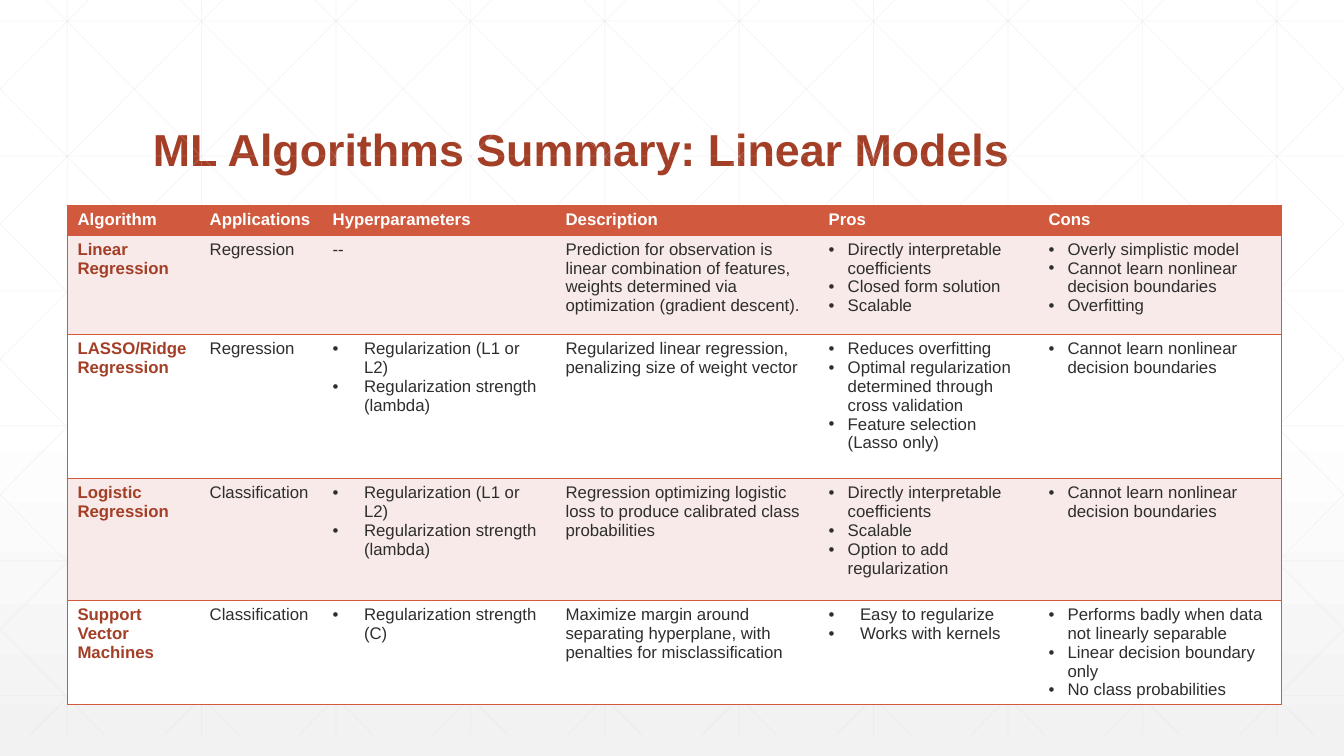
from lxml import etree
from pptx import Presentation
from pptx import util as u
from pptx.dml.color import RGBColor
from pptx.enum import shapes, text
from pptx.oxml.ns import qn

SLIDE_W, SLIDE_H = 33.87, 19.05
FONT = "Arial"
COLORS = {
    "white": "FFFFFF",
    "shade": "F2F2F2",
    "lattice": "D9D9D9",
    "rust": "A43F27",
    "orange": "D15A3E",
    "pink": "F7EAE8",
    "ink": "2D2E2D",
}

COLUMN_WIDTHS = [3.33, 3.1, 5.87, 6.63, 5.54, 6.12]
ROW_HEIGHTS = [0.74, 2.51, 3.63, 3.07, 2.62]
NARROW, WIDE = 0.48, 0.79  # bullet indents

# A cell is a string, or a bullet indent followed by the bulleted items.
ROWS = [
    ["Algorithm", "Applications", "Hyperparameters", "Description", "Pros", "Cons"],
    ["Linear Regression", "Regression", "--",
     "Prediction for observation is linear combination of features, "
     "weights determined via optimization (gradient descent).",
     (NARROW, "Directly interpretable coefficients", "Closed form solution", "Scalable"),
     (NARROW, "Overly simplistic model", "Cannot learn nonlinear decision boundaries",
      "Overfitting")],
    ["LASSO/Ridge Regression", "Regression",
     (WIDE, "Regularization (L1 or L2)", "Regularization strength (lambda)"),
     "Regularized linear regression, penalizing size of weight vector",
     (NARROW, "Reduces overfitting",
      "Optimal regularization determined through cross validation",
      "Feature selection (Lasso only)"),
     (NARROW, "Cannot learn nonlinear decision boundaries")],
    ["Logistic Regression", "Classification",
     (WIDE, "Regularization (L1 or L2)", "Regularization strength (lambda)"),
     "Regression optimizing logistic loss to produce calibrated class probabilities",
     (NARROW, "Directly interpretable coefficients", "Scalable",
      "Option to add regularization"),
     (NARROW, "Cannot learn nonlinear decision boundaries")],
    ["Support Vector Machines", "Classification",
     (WIDE, "Regularization strength (C)"),
     "Maximize margin around separating hyperplane, with penalties for misclassification",
     (WIDE, "Easy to regularize", "Works with kernels"),
     (NARROW, "Performs badly when data not linearly separable",
      "Linear decision boundary only", "No class probabilities")],
]


def rgb(name):
    return RGBColor.from_string(COLORS[name])


def sub(parent, tag, **attrs):
    return etree.SubElement(parent, qn(tag), attrs)


def add_run(p, words, size, color, bold):
    r = p.add_run()
    r.text = words
    r.font.name = FONT
    r.font.size = u.Pt(size)
    r.font.bold = bold
    r.font.color.rgb = rgb(color)


def paint_background(s):
    fill = s.background.fill
    fill.gradient()
    fill.gradient_angle = 270
    for stop, position, color in zip(fill.gradient_stops, (0.53, 1), ("white", "shade")):
        stop.position = position
        stop.color.rgb = rgb(color)


def add_lattice_line(s, x1, y1, x2, y2):
    line = s.shapes.add_connector(shapes.MSO_CONNECTOR.STRAIGHT,
                                  u.Cm(x1), u.Cm(y1), u.Cm(x2), u.Cm(y2))
    line.line.width = u.Pt(0.5)
    line.line.color.rgb = rgb("lattice")
    sp_pr = line._element.spPr
    sub(next(sp_pr.iter(qn("a:srgbClr"))), "a:alpha", val="25000")
    sub(sp_pr, "a:effectLst")


def add_lattice(s, top, width, height):
    """Faint grid with both diagonals, cut at the left and right edges."""
    pitch, row_pitch = width / 10, 3.4
    bottom = top + height
    for i in range(10):
        x = pitch * (i + 0.5)
        add_lattice_line(s, x, top, x, bottom)
    for j in range(6):
        y = 0.53 + row_pitch * j
        add_lattice_line(s, 0, y, width, y)

    run, first = 18.94, 0.63
    slope = height / run
    for i in range(-5, 10):
        start = first + pitch * i
        x1, x2 = max(start, 0), min(start + run, width)
        y1, y2 = (top + (x - start) * slope for x in (x1, x2))
        add_lattice_line(s, x1, y1, x2, y2)
        add_lattice_line(s, width - x1, y1, width - x2, y2)


def add_title(s, left, top, width, height):
    title = s.shapes.title
    title.left, title.top = u.Cm(left), u.Cm(top)
    title.width, title.height = u.Cm(width), u.Cm(height)
    tf = title.text_frame
    tf.word_wrap = True
    tf.auto_size = text.MSO_AUTO_SIZE.NONE
    tf.vertical_anchor = text.MSO_ANCHOR.BOTTOM
    p = tf.paragraphs[0]
    p.alignment = text.PP_ALIGN.LEFT
    p.line_spacing = 0.9
    add_run(p, "ML Algorithms Summary: Linear Models", 32, "rust", True)


def set_bullet(p, indent):
    p_pr = p._p.get_or_add_pPr()
    p_pr.set("marL", str(u.Cm(indent)))
    p_pr.set("indent", str(-u.Cm(indent)))
    sub(p_pr, "a:buFont", typeface=FONT)
    sub(p_pr, "a:buChar", char="•")


def add_borders(cell, sides):
    tc_pr = cell._tc.get_or_add_tcPr()
    for side in sides:
        ln = sub(tc_pr, f"a:ln{side}", w=str(u.Pt(1)))
        sub(sub(ln, "a:solidFill"), "a:srgbClr", val=COLORS["orange"])


def fill_cell(cell, content, color, bold):
    indent, *items = (0, content) if isinstance(content, str) else content
    tf = cell.text_frame
    for i, item in enumerate(items):
        p = tf.add_paragraph() if i else tf.paragraphs[0]
        if indent:
            set_bullet(p, indent)
        add_run(p, item, 12, color, bold)


def add_summary_table(s, left, top):
    frame = s.shapes.add_table(len(ROWS), len(COLUMN_WIDTHS), u.Cm(left), u.Cm(top),
                               u.Cm(sum(COLUMN_WIDTHS)), u.Cm(sum(ROW_HEIGHTS)))
    table = frame.table
    table.horz_banding = False
    style = next(table._tbl.iter(qn("a:tableStyleId")))
    style.text = "{2D5ABB26-0587-4C30-8999-92F81FD0307C}"  # no style, no grid
    for column, width in zip(table.columns, COLUMN_WIDTHS):
        column.width = u.Cm(width)

    last = len(COLUMN_WIDTHS) - 1
    for i, contents in enumerate(ROWS):
        table.rows[i].height = u.Cm(ROW_HEIGHTS[i])
        fill = "orange" if i == 0 else "pink" if i % 2 else "white"
        for j, content in enumerate(contents):
            cell = table.cell(i, j)
            color = "white" if i == 0 else "rust" if j == 0 else "ink"
            add_borders(cell, {0: "LTB", last: "RTB"}.get(j, "TB"))
            cell.fill.solid()
            cell.fill.fore_color.rgb = rgb(fill)
            fill_cell(cell, content, color, bold=i == 0 or j == 0)


def main():
    prs = Presentation()
    prs.slide_width, prs.slide_height = u.Cm(SLIDE_W), u.Cm(SLIDE_H)
    s = prs.slides.add_slide(prs.slide_layouts[5])
    paint_background(s)
    add_lattice(s, -0.53, SLIDE_W, SLIDE_H)
    add_title(s, 3.6, 1.4, 26.67, 3.18)
    add_summary_table(s, 1.7, 5.18)
    prs.save("out.pptx")


if __name__ == "__main__":
    main()
